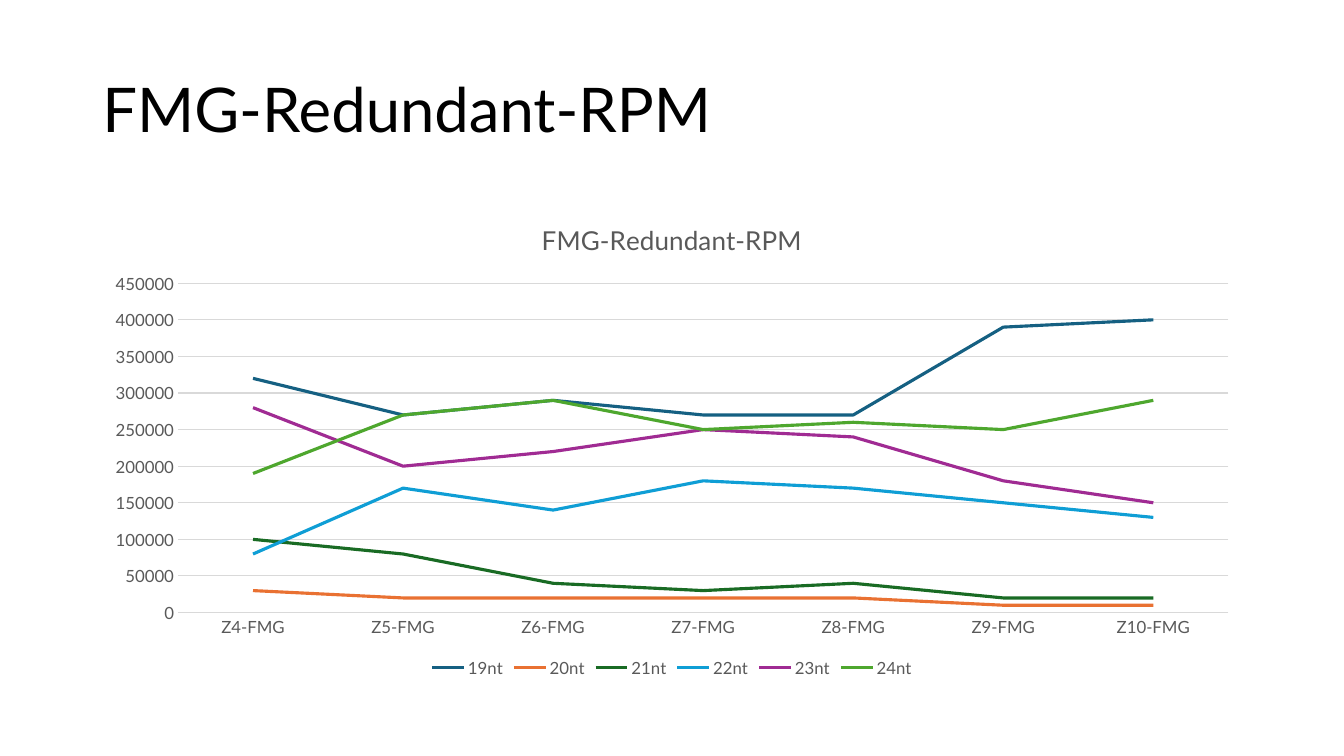
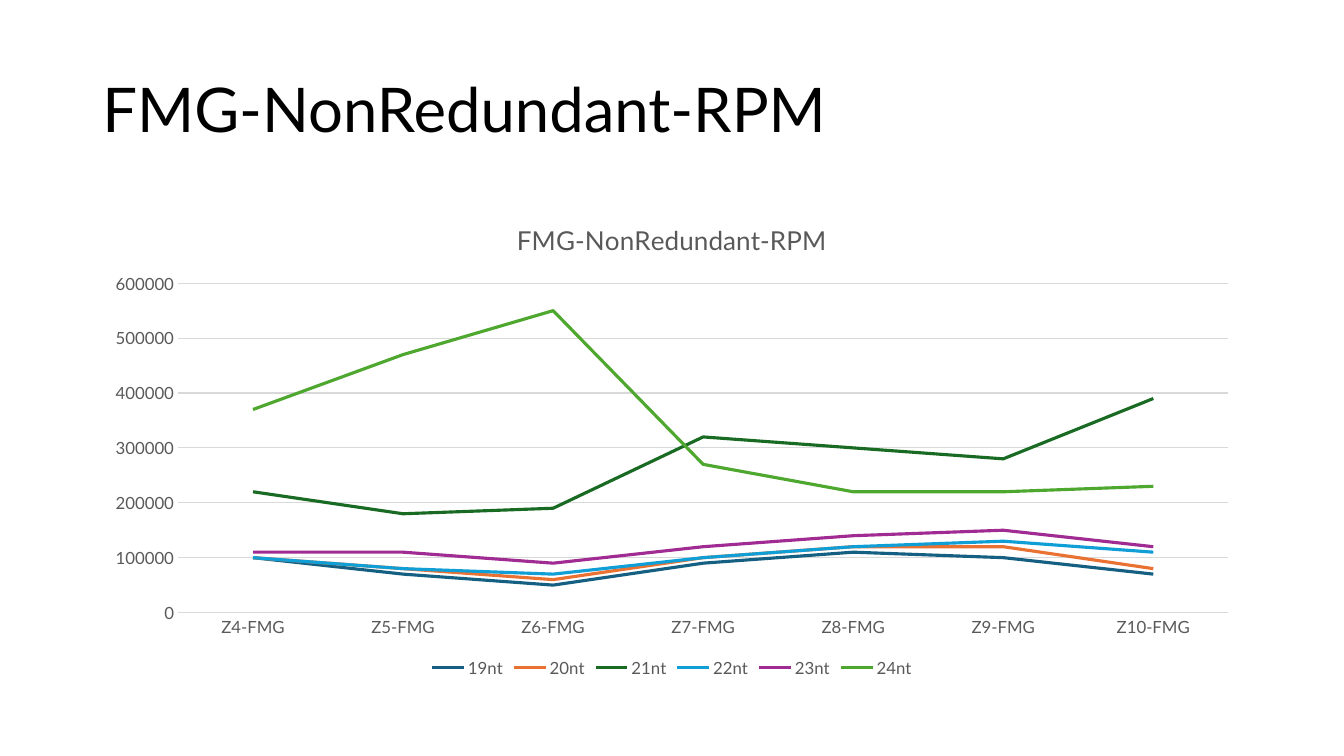
"""Builds two slides that chart read length abundance across the FMG samples."""
from dataclasses import dataclass

from pptx import Presentation
from pptx import util as u
from pptx.chart import data
from pptx.dml import color
from pptx.enum import chart as kinds
from pptx.enum import text


@dataclass(frozen=True)
class Theme:
    """Colours, font and type sizes of the deck."""
    font: str = "Lato"
    ink: str = "000000"
    label: str = "595959"
    rule: str = "D9D9D9"
    accents: tuple = ("156082", "E97132", "196B24", "0F9ED5", "A02B93", "4EA72E")
    heading_size: float = 44
    caption_size: float = 18.6
    label_size: float = 12
    rule_width: float = 0.75
    series_width: float = 2.25


class Deck:
    """Holds the style and the current slide."""

    def __init__(self, theme):
        """Start a 1280 by 720 px presentation."""
        self.theme = theme
        self.show = Presentation()
        self.show.slide_width, self.show.slide_height = self.px(1280, 720)
        self.slide = None

    @staticmethod
    def px(*lengths):
        """Turn px lengths into EMU."""
        return [u.Emu(length * 9525) for length in lengths]

    def add_slide(self):
        """Make a blank slide the current one."""
        self.slide = self.show.slides.add_slide(self.show.slide_layouts[6])

    def style_font(self, font, size, ink):
        """Give a font the deck's typeface, a size and a colour."""
        font.name = self.theme.font
        font.size = u.Pt(size)
        font.bold = False
        font.color.rgb = color.RGBColor.from_string(ink)

    @staticmethod
    def style_line(line, ink, width):
        """Give a line a colour and a width in points."""
        line.color.rgb = color.RGBColor.from_string(ink)
        line.width = u.Pt(width)

    def heading(self, words):
        """Add the slide heading."""
        frame = self.slide.shapes.add_textbox(*self.px(88, 38, 1104, 139)).text_frame
        frame.word_wrap = True
        frame.vertical_anchor = text.MSO_ANCHOR.MIDDLE
        line = frame.paragraphs[0]
        line.text = words
        line.line_spacing = 0.9
        self.style_font(line.font, self.theme.heading_size, self.theme.ink)

    def axis(self, axis, top=None):
        """Style one axis, and scale it with gridlines if a top value is given."""
        theme = self.theme
        axis.major_tick_mark = axis.minor_tick_mark = kinds.XL_TICK_MARK.NONE
        self.style_font(axis.tick_labels.font, theme.label_size, theme.label)
        axis.has_major_gridlines = top is not None
        if top is None:
            self.style_line(axis.format.line, theme.rule, theme.rule_width)
        else:
            axis.minimum_scale, axis.maximum_scale = 0, top
            axis.format.line.fill.background()
            self.style_line(axis.major_gridlines.format.line, theme.rule, theme.rule_width)

    def line_chart(self, caption, samples, abundance, top, step):
        """Add a captioned line chart with its legend below."""
        theme = self.theme
        table = data.CategoryChartData()
        table.categories = samples
        for length, values in abundance.items():
            table.add_series(length, values)
        chart = self.slide.shapes.add_chart(
            kinds.XL_CHART_TYPE.LINE, *self.px(88, 192, 1104, 457), table).chart
        self.style_font(chart.font, theme.label_size, theme.label)

        chart.has_title = True
        title = chart.chart_title
        title.include_in_layout = False
        title.text_frame.text = caption
        self.style_font(title.text_frame.paragraphs[0].font, theme.caption_size, theme.label)

        chart.has_legend = True
        chart.legend.position = kinds.XL_LEGEND_POSITION.BOTTOM
        chart.legend.include_in_layout = False
        self.style_font(chart.legend.font, theme.label_size, theme.label)

        self.axis(chart.category_axis)
        self.axis(chart.value_axis, top)
        chart.value_axis.major_unit = step
        chart.plots[0].vary_by_categories = False
        for series, accent in zip(chart.plots[0].series, theme.accents):
            series.smooth = False
            self.style_line(series.format.line, accent, theme.series_width)


SAMPLES = [f"Z{number}-FMG" for number in range(4, 11)]

REDUNDANT = {
    "19nt": (320000, 270000, 290000, 270000, 270000, 390000, 400000),
    "20nt": (30000, 20000, 20000, 20000, 20000, 10000, 10000),
    "21nt": (100000, 80000, 40000, 30000, 40000, 20000, 20000),
    "22nt": (80000, 170000, 140000, 180000, 170000, 150000, 130000),
    "23nt": (280000, 200000, 220000, 250000, 240000, 180000, 150000),
    "24nt": (190000, 270000, 290000, 250000, 260000, 250000, 290000),
}

NON_REDUNDANT = {
    "19nt": (100000, 70000, 50000, 90000, 110000, 100000, 70000),
    "20nt": (100000, 80000, 60000, 100000, 120000, 120000, 80000),
    "21nt": (220000, 180000, 190000, 320000, 300000, 280000, 390000),
    "22nt": (100000, 80000, 70000, 100000, 120000, 130000, 110000),
    "23nt": (110000, 110000, 90000, 120000, 140000, 150000, 120000),
    "24nt": (370000, 470000, 550000, 270000, 220000, 220000, 230000),
}

PAGES = (
    ("FMG-Redundant-RPM", REDUNDANT, 450000, 50000),
    ("FMG-NonRedundant-RPM", NON_REDUNDANT, 600000, 100000),
)


def main():
    """Build both slides and save them."""
    deck = Deck(Theme())
    for name, abundance, top, step in PAGES:
        deck.add_slide()
        deck.heading(name)
        deck.line_chart(name, SAMPLES, abundance, top, step)
    deck.show.save("out.pptx")


if __name__ == "__main__":
    main()
